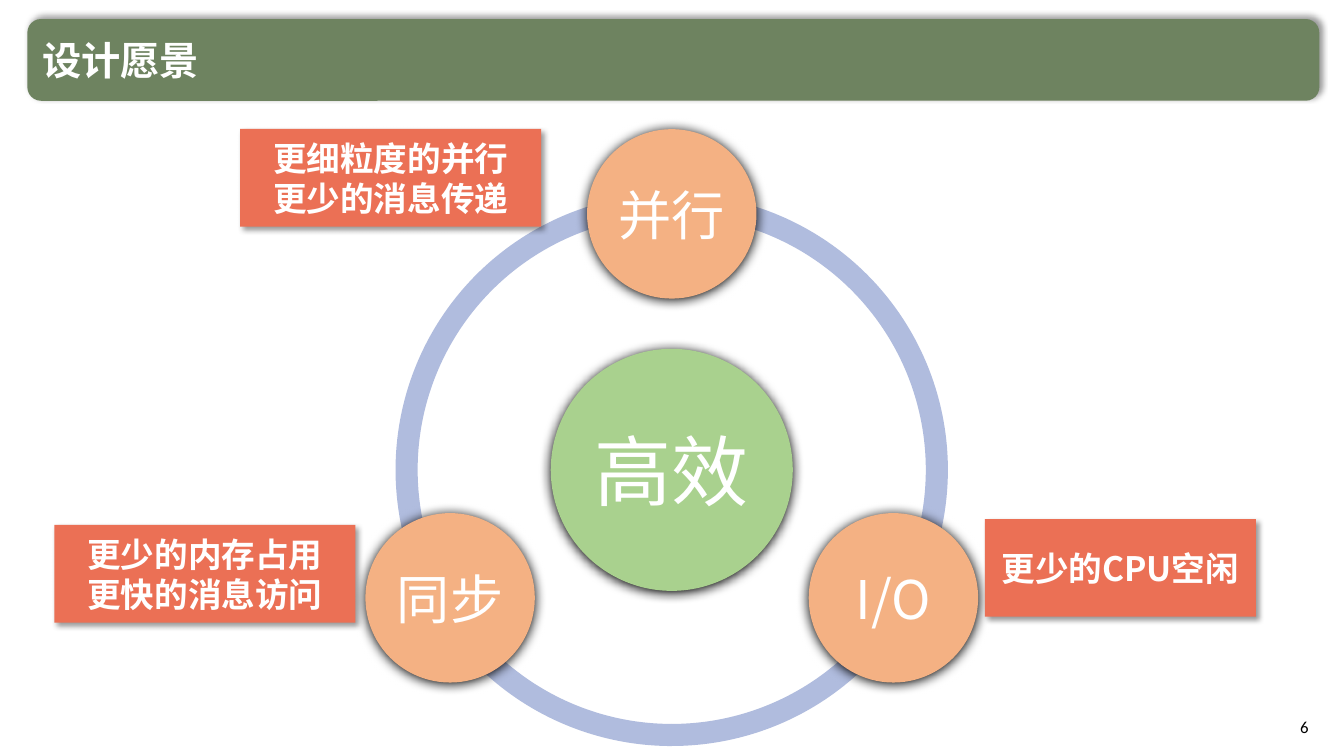
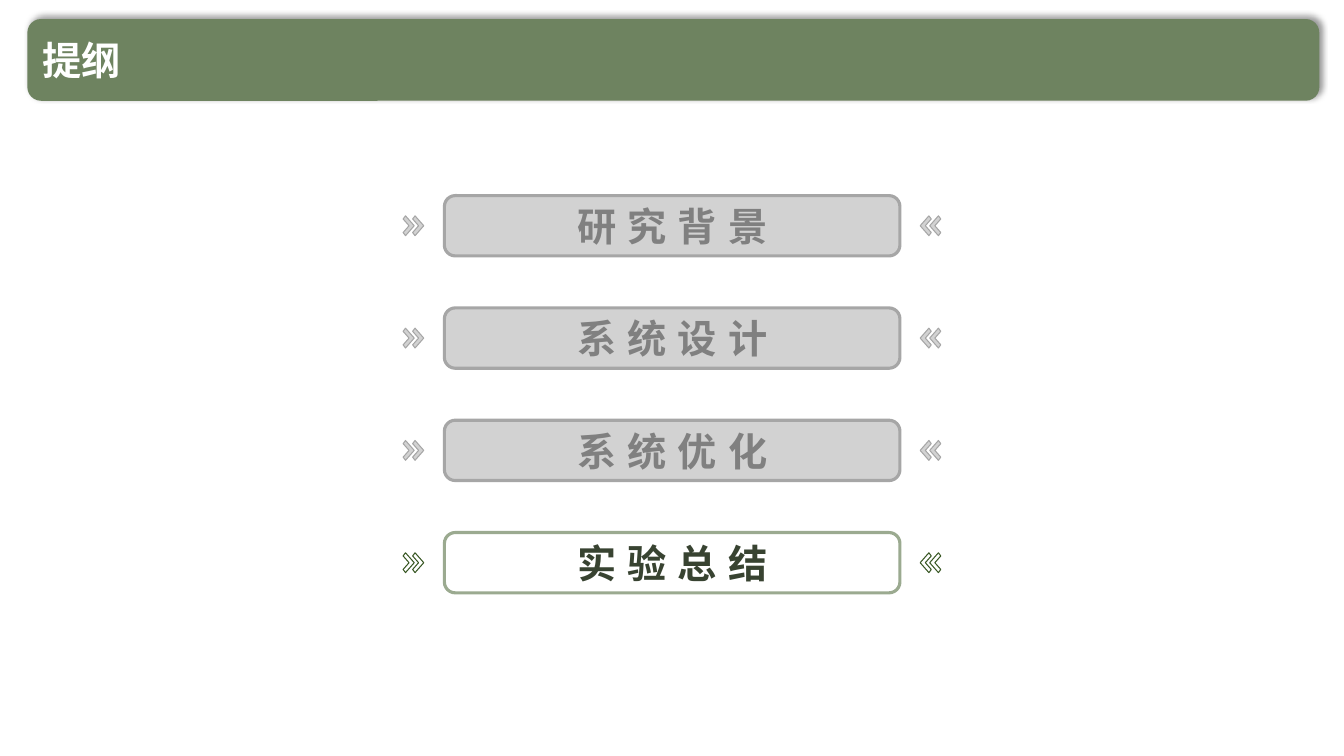
from dataclasses import dataclass
from math import cos, radians, sin

from lxml import etree
from pptx import Presentation
from pptx import util as u
from pptx.dml.color import RGBColor
from pptx.enum import shapes, text
from pptx.oxml import ns


@dataclass(frozen=True)
class Theme:
    face: str = "Noto Sans CJK SC"
    number_face: str = "Calibri"
    white: str = "FFFFFF"
    black: str = "000000"
    band: str = "6E8360"
    ring: str = "B0BCDE"
    core: str = "A9D18E"
    node: str = "F4B183"
    label: str = "EB7055"
    muted: str = "A6A6A6"
    muted_text: str = "808080"
    active_mark: str = "385723"
    active_line: str = "9BAA90"
    active_text: str = "384331"
    title_size: int = 28
    label_size: int = 24
    core_size: int = 55
    node_size: int = 38
    number_size: int = 12


theme = Theme()
rgb = RGBColor.from_string
Shape = shapes.MSO_SHAPE
Align = text.PP_ALIGN
Anchor = text.MSO_ANCHOR


def write(box, lines, size, color, bold=False, align=Align.CENTER, anchor=Anchor.MIDDLE,
          face=theme.face, leading=None, tracking=0, wrap=True):
    """Fill a box with one paragraph per line; leading and tracking are in points."""
    frame = box.text_frame
    frame.word_wrap = wrap
    frame.vertical_anchor = anchor
    for index, line in enumerate(lines):
        para = frame.add_paragraph() if index else frame.paragraphs[0]
        para.alignment = align
        if leading:
            para.line_spacing = u.Pt(leading)
        span = para.add_run()
        span.text = line
        span.font.size = u.Pt(size)
        span.font.bold = bold
        span.font.name = face
        span.font.color.rgb = rgb(color)
        properties = span.font._element
        etree.SubElement(properties, ns.qn("a:ea"), typeface=face)
        if tracking:
            properties.set("spc", str(tracking * 100))


def paint(shape, fill, blur=0, distance=0, angle=0, opacity=100):
    """Give a shape a plain fill without outline, and a shadow if blur is set."""
    shape.shadow.inherit = False
    shape.fill.solid()
    shape.fill.fore_color.rgb = rgb(fill)
    shape.line.fill.background()
    if blur:
        effects = shape._element.spPr.find(ns.qn("a:effectLst"))
        shadow = etree.SubElement(effects, ns.qn("a:outerShdw"), blurRad=str(u.Pt(blur)),
                                  dist=str(u.Pt(distance)), dir=str(angle * 60000),
                                  rotWithShape="0")
        tone = etree.SubElement(shadow, ns.qn("a:srgbClr"), val=theme.black)
        etree.SubElement(tone, ns.qn("a:alpha"), val=str(opacity * 1000))


deck = Presentation()
deck.slide_width = u.Cm(33.87)
deck.slide_height = u.Cm(19.05)

# Pages with the shared title band
pages = []
for title in ("设计愿景", "提纲"):
    page = deck.slides.add_slide(deck.slide_layouts[6])
    band = page.shapes.add_shape(Shape.ROUNDED_RECTANGLE,
                                 u.Cm(0.69), u.Cm(0.48), u.Cm(32.56), u.Cm(2.06))
    paint(band, theme.band, blur=4, distance=3, angle=315, opacity=40)
    heading = page.shapes.add_textbox(u.Cm(0.81), u.Cm(0.71), u.Cm(28.12), u.Cm(1.57))
    write(heading, [title], theme.title_size, theme.white, bold=True,
          align=Align.LEFT, anchor=Anchor.TOP, leading=36)
    pages.append(page)
vision, outline = pages

# Vision: page number
number = vision.shapes.add_textbox(u.Cm(31.22), u.Cm(17.81), u.Cm(2.01), u.Cm(1.02))
write(number, ["6"], theme.number_size, theme.black, align=Align.RIGHT, face=theme.number_face)

# Vision: ring of three arcs
center_x, center_y = 16.93, 11.84
ring_size = 13.92
for start, end in ((162, 18), (18, 90), (90, 162)):
    arc = vision.shapes.add_shape(Shape.BLOCK_ARC, u.Cm(center_x - ring_size / 2),
                                  u.Cm(center_y - ring_size / 2), u.Cm(ring_size), u.Cm(ring_size))
    arc.adjustments[0] = start * 0.6
    arc.adjustments[1] = end * 0.6
    arc.adjustments[2] = 0.04
    paint(arc, theme.ring)

# Vision: core circle, then three nodes at equal angles around it
orbit = 6.45
circles = [("高效", 0, 0, 6.1, theme.core, theme.core_size)]
circles += [(name, orbit, angle, 4.27, theme.node, theme.node_size)
            for name, angle in (("并行", -90), ("I/O", 30), ("同步", 150))]
for name, distance, angle, diameter, color, size in circles:
    left = center_x + distance * cos(radians(angle)) - diameter / 2
    top = center_y + distance * sin(radians(angle)) - diameter / 2
    circle = vision.shapes.add_shape(Shape.OVAL, u.Cm(left), u.Cm(top),
                                     u.Cm(diameter), u.Cm(diameter))
    paint(circle, color, blur=8.5, distance=1, angle=90)
    write(circle, [name], size, theme.white, wrap=False)

# Vision: labels beside the nodes
for left, top, width, lines in (
    (1.37, 13.23, 7.59, ["更少的内存占用", "更快的消息访问"]),
    (6.05, 3.25, 7.59, ["更细粒度的并行", "更少的消息传递"]),
    (24.82, 13.08, 6.83, ["更少的CPU空闲"]),
):
    label = vision.shapes.add_shape(Shape.RECTANGLE, u.Cm(left), u.Cm(top),
                                    u.Cm(width), u.Cm(2.46))
    paint(label, theme.label, blur=4, distance=3, angle=45, opacity=40)
    write(label, lines, theme.label_size, theme.white, bold=True, leading=29)

# Outline: one group per chapter, the current one highlighted
chapters = ["研究背景", "系统设计", "系统优化", "实验总结"]
current = "实验总结"
box_left, box_top, box_width, box_height, pitch = 11.2, 4.93, 11.48, 1.52, 2.83
chevron = [(0.06, 0), (0, 0.08), (0.15, 0.25), (0, 0.42), (0.06, 0.5), (0.28, 0.25)]
for index, chapter in enumerate(chapters):
    active = chapter == current
    top = box_top + index * pitch
    row = outline.shapes.add_group_shape().shapes
    mark_color = theme.active_mark if active else theme.muted
    line_color = theme.active_line if active else theme.muted
    parts = []
    for mirrored in (False, True):
        for left in (10.16, 10.4):
            points = []
            for x, y in chevron:
                across = u.Cm(left + x)
                points.append((deck.slide_width - across if mirrored else across,
                               u.Cm(top + box_height / 2 - 0.25 + y)))
            builder = row.build_freeform(*points[0])
            builder.add_line_segments(points[1:], close=True)
            parts.append((builder.convert_to_shape(), mark_color, 0.75))
    box = row.add_shape(Shape.ROUNDED_RECTANGLE, u.Cm(box_left), u.Cm(top),
                        u.Cm(box_width), u.Cm(box_height))
    box.adjustments[0] = 0.18
    write(box, [chapter], theme.title_size, theme.active_text if active else theme.muted_text,
          bold=True, tracking=8)
    parts.append((box, line_color, 2.25))
    for part, color, weight in parts:
        paint(part, theme.muted)
        if active:
            part.fill.background()
        else:
            tone = part._element.spPr.find(ns.qn("a:solidFill"))[0]
            etree.SubElement(tone, ns.qn("a:alpha"), val="50000")
        part.line.color.rgb = rgb(color)
        part.line.width = u.Pt(weight)

deck.save("out.pptx")
